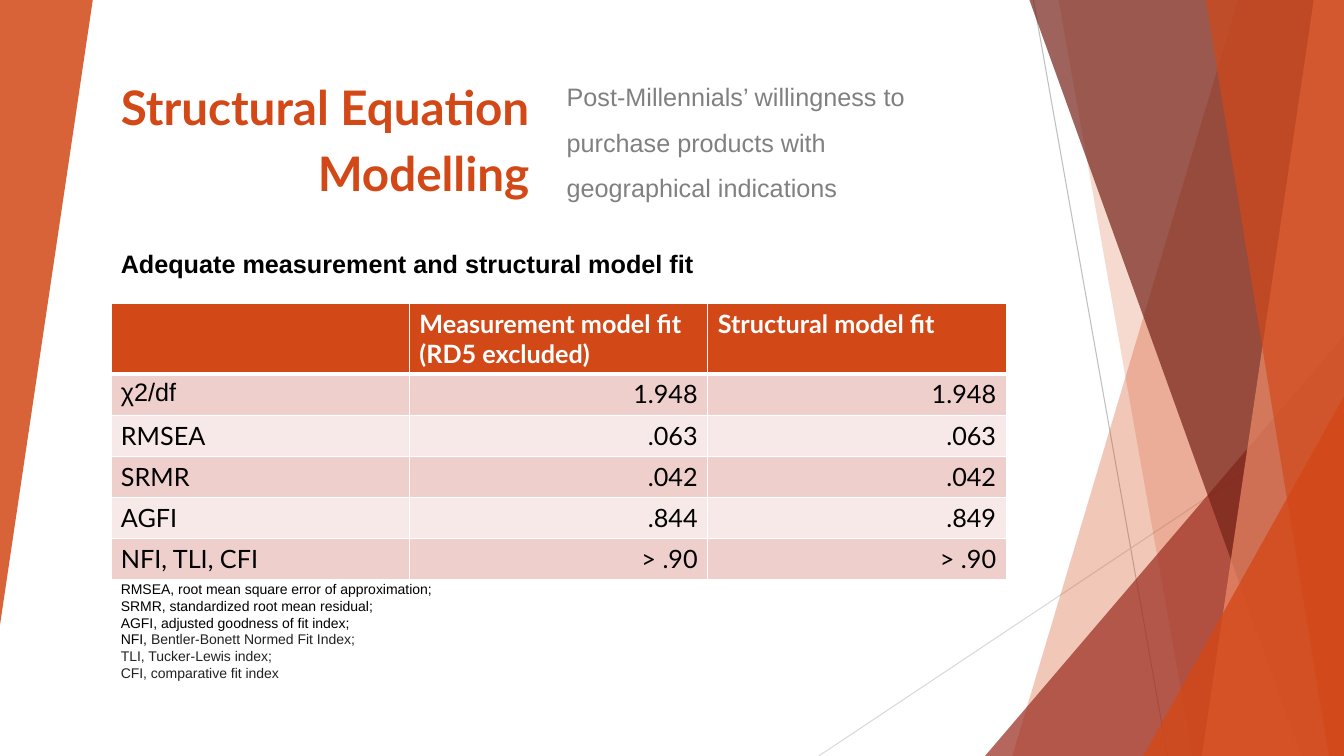
from lxml import etree
from pptx import Presentation
from pptx import util as u
from pptx.dml import color
from pptx.enum import shapes, text
from pptx.oxml import ns

ORANGE, WHITE, BLACK = "D34817", "FFFFFF", "000000"
TITLE_FORMAT = {"name": "Lato", "size": u.Pt(34), "bold": True}
SUBTITLE_FORMAT = {"name": "Arial", "size": u.Pt(18), "bold": False}
HEADING_FORMAT = {"name": "Arial", "size": u.Pt(18), "bold": True}
NOTE_FORMAT = {"name": "Arial", "size": u.Pt(10), "bold": False}
HEADER_FORMAT = {"name": "Lato", "size": u.Pt(18), "bold": True}
CELL_FORMAT = {"name": "Lato", "size": u.Pt(18), "bold": False}
SYMBOL_FORMAT = {"name": "Arial", "size": u.Pt(18), "bold": False}

FIT_ROWS = [
    ("", "Measurement model fit (RD5 excluded)", "Structural model fit"),
    ("χ2/df", "1.948", "1.948"),
    ("RMSEA", ".063", ".063"),
    ("SRMR", ".042", ".042"),
    ("AGFI", ".844", ".849"),
    ("NFI, TLI, CFI", "> .90", "> .90"),
]
NOTES = [
    [("RMSEA, root mean square error of approximation;", BLACK)],
    [("SRMR, standardized root mean residual;", BLACK)],
    [("AGFI, adjusted goodness of fit index;", BLACK)],
    [("NFI, ", BLACK), ("Bentler-Bonett Normed Fit Index;", "202124")],
    [("TLI, ", "212121"), ("Tucker-Lewis index;", "212121")],
    [("CFI, comparative fit index", "212121")],
]


def set_color(target, value):
    target.rgb = color.RGBColor.from_string(value)


def set_attributes(target, values):
    for name, value in values.items():
        setattr(target, name, value)


def add_run(paragraph, words, font_format, font_color):
    run = paragraph.add_run()
    run.text = words
    set_attributes(run.font, font_format)
    set_color(run.font.color, font_color)


def place(shape, box):
    names = ("left", "top", "width", "height")
    set_attributes(shape, dict(zip(names, map(u.Inches, box))))


def paint(shape, fill_color, opacity):
    shape.shadow.inherit = False
    shape.line.fill.background()
    shape.fill.solid()
    set_color(shape.fill.fore_color, fill_color)
    rgb = shape.fill._xPr.find(".//" + ns.qn("a:srgbClr"))
    etree.SubElement(rgb, ns.qn("a:alpha"), val=str(opacity * 1000))


def add_ray(slide, start, end, line_color):
    points = map(u.Inches, start + end)
    ray = slide.shapes.add_connector(shapes.MSO_CONNECTOR.STRAIGHT, *points)
    ray.line.width = u.Pt(0.75)
    set_color(ray.line.color, line_color)
    etree.SubElement(ray._element.spPr, ns.qn("a:effectLst"))


def add_right_triangle(slide, box, fill_color, opacity, rotation=0):
    triangle = slide.shapes.add_shape(
        shapes.MSO_SHAPE.ISOSCELES_TRIANGLE, *map(u.Inches, box))
    triangle.adjustments[0] = 1
    triangle.rotation = rotation
    paint(triangle, fill_color, opacity)


def add_shard(slide, box, top_x, bottom_x, fill_color, opacity):
    """Fill from a slanted left edge to the right side of the box."""
    left, top, width, height = box
    right, bottom = left + width, top + height
    corners = [(right, top), (right, bottom), (bottom_x, bottom)]
    builder = slide.shapes.build_freeform(u.Inches(top_x), u.Inches(top))
    builder.add_line_segments(
        [(u.Inches(x), u.Inches(y)) for x, y in corners], close=True)
    paint(builder.convert_to_shape(), fill_color, opacity)


def add_facets(slide, box):
    left, top, width, height = box
    right, bottom = left + width, top + height

    def corner_triangle(triangle_width, triangle_height, fill_color, opacity):
        add_right_triangle(
            slide, (right - triangle_width, bottom - triangle_height,
                    triangle_width, triangle_height), fill_color, opacity)

    # Thin rays behind the facets
    add_ray(slide, (left + 2.13, top), (left + 3.46, bottom), "BFBFBF")
    add_ray(slide, (right, top + 4.03), (left, bottom), "D9D9D9")
    # Overlapping translucent facets, back to front
    add_shard(slide, box, 12.28, 10.04, ORANGE, 30)
    add_shard(slide, box, 10.5, 11.83, ORANGE, 20)
    corner_triangle(3.56, 4.17, "9B2D1F", 72)
    add_shard(slide, box, 10.21, 12.91, "742217", 70)
    add_shard(slide, box, 13.03, 11.92, "EF8C6A", 70)
    add_shard(slide, box, 11.96, 13.18, ORANGE, 65)
    corner_triangle(1.99, 3.57, ORANGE, 80)


def fill_placeholder(shape, box, words, font_format, font_color, layout, anchor):
    place(shape, box)
    frame = shape.text_frame
    set_attributes(frame, {"word_wrap": True, "vertical_anchor": anchor,
                           "auto_size": text.MSO_AUTO_SIZE.NONE})
    paragraph = frame.paragraphs[0]
    set_attributes(paragraph, {"space_before": u.Pt(12), **layout})
    add_run(paragraph, words, font_format, font_color)


def add_header(slide, box):
    left, top, width, height = box
    fill_placeholder(
        slide.shapes.title, (left, top, 4.63, height),
        "Structural Equation Modelling", TITLE_FORMAT, ORANGE,
        {"alignment": text.PP_ALIGN.RIGHT, "line_spacing": 1.15},
        text.MSO_ANCHOR.MIDDLE)
    fill_placeholder(
        slide.placeholders[1], (left + 4.8, top + 0.17, width - 4.8, 1.46),
        "Post-Millennials’ willingness to purchase products with "
        "geographical indications", SUBTITLE_FORMAT, "808080",
        {"alignment": text.PP_ALIGN.LEFT, "line_spacing": 1.5},
        text.MSO_ANCHOR.TOP)


def add_text_lines(slide, box, lines, font_format):
    frame = slide.shapes.add_textbox(*map(u.Inches, box)).text_frame
    frame.word_wrap = True
    for index, line in enumerate(lines):
        paragraph = frame.add_paragraph() if index else frame.paragraphs[0]
        for words, font_color in line:
            add_run(paragraph, words, font_format, font_color)


def add_borders(cell, bottom_width):
    properties = cell._tc.get_or_add_tcPr()
    for side, width in (("L", 1), ("R", 1), ("T", 1), ("B", bottom_width)):
        border = etree.SubElement(
            properties, ns.qn("a:ln" + side), w=str(u.Pt(width)))
        fill = etree.SubElement(border, ns.qn("a:solidFill"))
        etree.SubElement(fill, ns.qn("a:srgbClr"), val=WHITE)


def add_fit_table(slide, box):
    header_height = 0.69
    row_count, column_count = len(FIT_ROWS), len(FIT_ROWS[0])
    table = slide.shapes.add_table(
        row_count, column_count, *map(u.Inches, box)).table
    body_height = (box[3] - header_height) / (row_count - 1)
    for column in table.columns:
        column.width = u.Inches(box[2] / column_count)
    for row_index, values in enumerate(FIT_ROWS):
        is_header = row_index == 0
        table.rows[row_index].height = u.Inches(
            header_height if is_header else body_height)
        band = ORANGE if is_header else ("F7E9E8", "EFCFCC")[row_index % 2]
        for column_index, value in enumerate(values):
            cell = table.cell(row_index, column_index)
            add_borders(cell, 3 if is_header else 1)
            cell.fill.solid()
            set_color(cell.fill.fore_color, band)
            paragraph = cell.text_frame.paragraphs[0]
            if column_index and not is_header:
                paragraph.alignment = text.PP_ALIGN.RIGHT
            cell_format = HEADER_FORMAT if is_header else CELL_FORMAT
            if value.startswith("χ"):
                cell_format = SYMBOL_FORMAT
            if value:
                add_run(paragraph, value, cell_format,
                        WHITE if is_header else BLACK)


def add_model_fit(slide, box):
    left, top, width, height = box
    # Heading, table and abbreviations from top to bottom
    heading = "Adequate measurement and structural model fit"
    add_text_lines(slide, (left, top, width, 0.4),
                   [[(heading, BLACK)]], HEADING_FORMAT)
    add_fit_table(slide, (left, top + 0.6, 8.88, 2.73))
    add_text_lines(slide, (left, top + 3.3, width, height - 3.3),
                   NOTES, NOTE_FORMAT)


def main():
    presentation = Presentation()
    set_attributes(presentation, {"slide_width": u.Inches(13.33),
                                  "slide_height": u.Inches(7.5)})
    slide = presentation.slides.add_slide(presentation.slide_layouts[0])
    # Decoration on both sides
    add_facets(slide, (8.12, 0, 5.21, 7.5))
    add_right_triangle(slide, (0, 0, 0.92, 6.2), ORANGE, 85, rotation=180)
    # Content
    add_header(slide, (0.72, 0.44, 9.06, 1.8))
    add_model_fit(slide, (1.1, 2.41, 8.97, 4.44))
    presentation.save("out.pptx")


if __name__ == "__main__":
    main()
